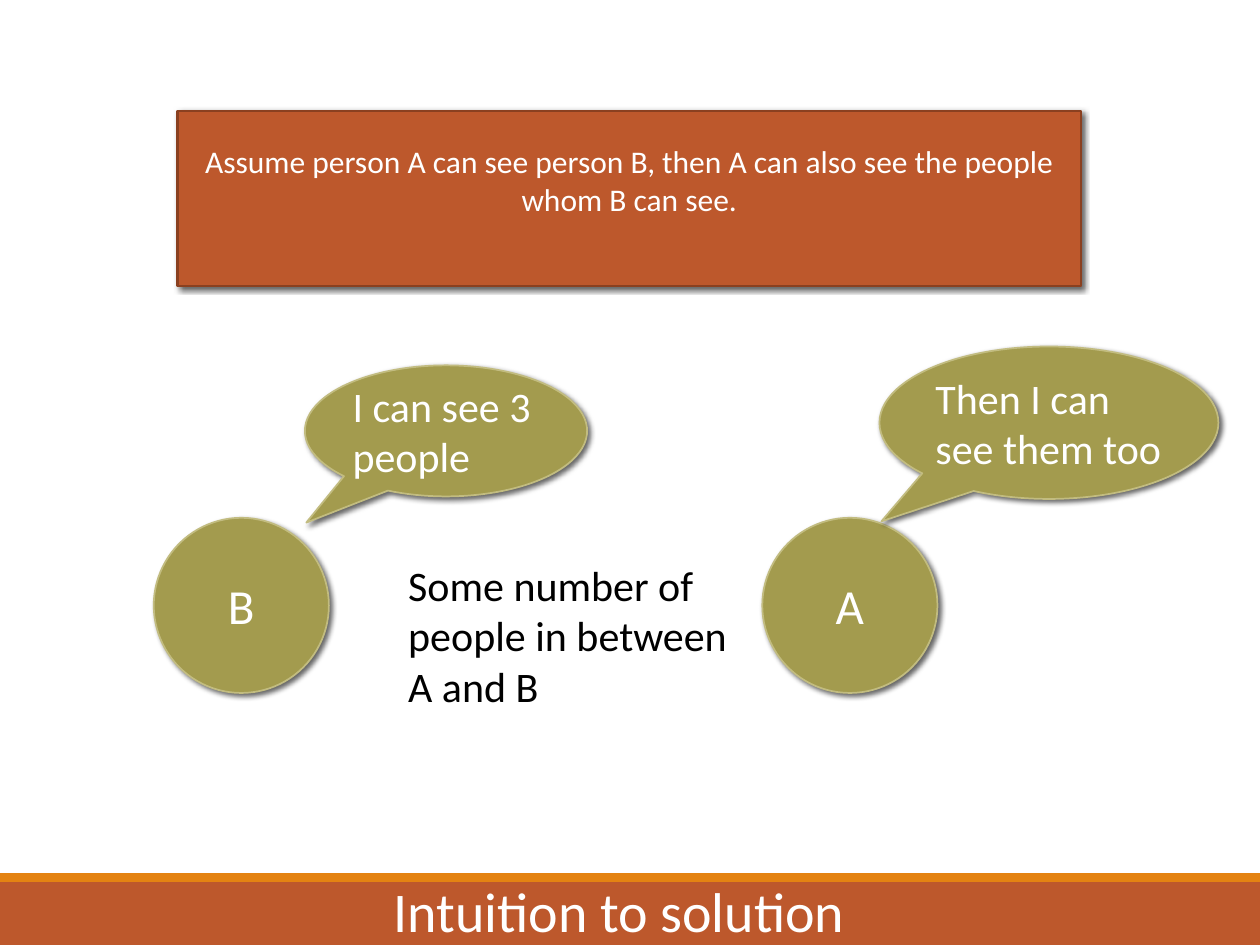
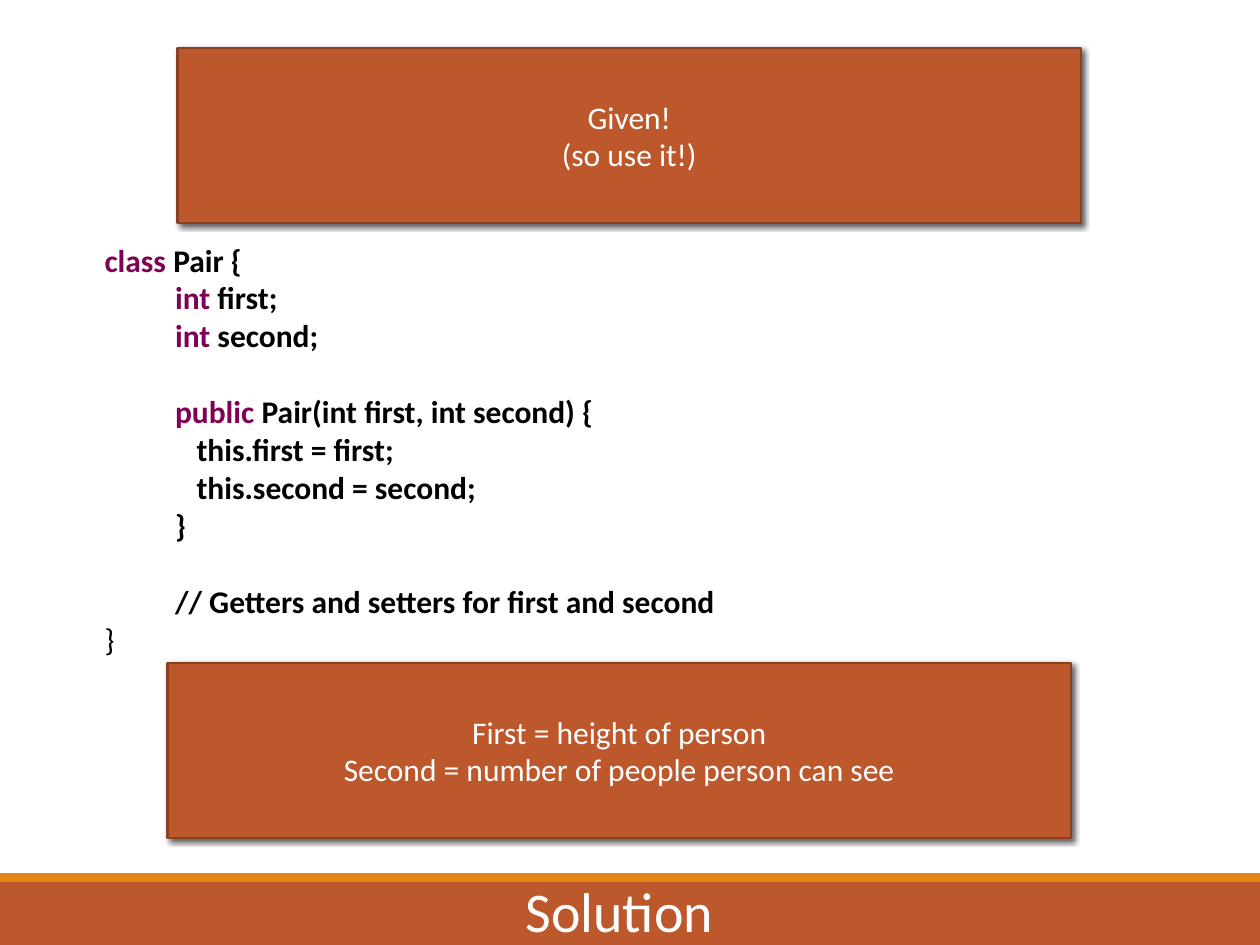
from lxml import etree
from pptx import Presentation, util as u
from pptx.dml.color import RGBColor
from pptx.enum import shapes, text
from pptx.oxml.ns import qn

FONT = "Calibri"
RUST, ORANGE, RUST_EDGE = "BD582C", "E48312", "8A4020"
OLIVE, OLIVE_EDGE = "A39B4E", "C2BC80"
WHITE, BLACK, KEYWORD = "FFFFFF", "000000", "7F0055"
LEFT, CENTER = text.PP_ALIGN.LEFT, text.PP_ALIGN.CENTER
TOP, MIDDLE, BOTTOM = text.MSO_ANCHOR.TOP, text.MSO_ANCHOR.MIDDLE, text.MSO_ANCHOR.BOTTOM
KIND = shapes.MSO_SHAPE


def add_filled(slide, kind, box, fill, edge=None, edge_width=1):
    """Add a filled shape; an edge colour also brings the soft drop shadow."""
    shape = slide.shapes.add_shape(kind, *map(u.Inches, box))
    shape.fill.solid()
    shape.fill.fore_color.rgb = RGBColor.from_string(fill)
    shape.shadow.inherit = False
    if edge is None:
        shape.line.fill.background()
        return shape
    shape.line.color.rgb = RGBColor.from_string(edge)
    shape.line.width = u.Pt(edge_width)
    effects = shape.element.spPr.find(qn("a:effectLst"))
    shadow = etree.SubElement(effects, qn("a:outerShdw"), blurRad=str(u.Pt(3)),
                              dist=str(u.Pt(2)), dir=str(45 * 60000), rotWithShape="0")
    black = etree.SubElement(shadow, qn("a:srgbClr"), val=BLACK)
    etree.SubElement(black, qn("a:alpha"), val="60000")
    return shape


def write(shape, lines, size, color=WHITE, align=CENTER, anchor=MIDDLE):
    """Fill a shape with one paragraph per line and return the paragraphs."""
    frame = shape.text_frame
    frame.word_wrap = True
    frame.vertical_anchor = anchor
    frame.margin_left = frame.margin_right = u.Inches(0.05)
    frame.margin_top = frame.margin_bottom = u.Inches(0.05)
    frame.text = "\n".join(lines)
    for paragraph in frame.paragraphs:
        paragraph.alignment = align
        paragraph.font.name = FONT
        paragraph.font.size = u.Pt(size)
        paragraph.font.color.rgb = RGBColor.from_string(color)
    return frame.paragraphs


prs = Presentation()
prs.slide_width, prs.slide_height = u.Inches(10), u.Inches(7.5)

# Bottom bands, title and rust banners of both slides
banners = {
    "Intuition to solution": [
        (1.41, 0.88, ["Assume person A can see person B, then A can also see the people "
                      "whom B can see."]),
    ],
    "Solution": [
        (1.41, 0.38, ["Given!", "(so use it!)"]),
        (1.33, 5.26, ["First = height of person",
                      "Second = number of people person can see"]),
    ],
}
slides, banner_shapes = [], []
for title, slide_banners in banners.items():
    slide = prs.slides.add_slide(prs.slide_layouts[6])
    slides.append(slide)
    add_filled(slide, KIND.RECTANGLE, (0, 7, 10, 0.5), RUST)
    add_filled(slide, KIND.RECTANGLE, (0, 6.93, 10, 0.07), ORANGE)
    heading = slide.shapes.add_textbox(*map(u.Inches, (1.84, 6.9, 6.15, 0.64)))
    write(heading, [title], 32, anchor=BOTTOM)
    for left, top, lines in slide_banners:
        banner = add_filled(slide, KIND.RECTANGLE, (left, top, 7.17, 1.39),
                            RUST, RUST_EDGE, 1.25)
        write(banner, lines, 18)
        banner_shapes.append(banner)
intuition, solution = slides
# The assumption sits a little above the middle of its banner
banner_shapes[0].text_frame.margin_bottom = u.Inches(0.35)

# Slide 1: two people and what they say
people = [
    ("B", 1.22, "I can see 3 people", (2.42, 2.9, 2.24, 1.04), (-0.495, 0.7)),
    ("A", 6.05, "Then I can see them too", (6.98, 2.75, 2.69, 1.21), (-0.494, 0.647)),
]
for name, left, speech, bubble_box, tail in people:
    person = add_filled(intuition, KIND.OVAL, (left, 4.11, 1.39, 1.39), OLIVE, OLIVE_EDGE)
    write(person, [name], 28)
    bubble = add_filled(intuition, KIND.OVAL_CALLOUT, bubble_box, OLIVE, OLIVE_EDGE)
    bubble.adjustments[0], bubble.adjustments[1] = tail
    write(bubble, [speech], 24, align=LEFT)

between = intuition.shapes.add_textbox(*map(u.Inches, (3.19, 4.39, 2.66, 1.31)))
write(between, ["Some number of", "people in between A and B"], 24, BLACK, LEFT, TOP)

# Slide 2: the class, as (indent, keyword, rest, starts a new block)
code = [
    (0, "class", " Pair {", False),
    (0.56, "int", " first;", False),
    (0.56, "int", " second;", False),
    (0.56, "public", " Pair(int first, int second) {", True),
    (0.73, "", "this.first = first;", False),
    (0.73, "", "this.second = second;", False),
    (0.56, "", "}", False),
    (0.56, "", "// Getters and setters for first and second", True),
    (0, "", "}", False),
]
listing = solution.shapes.add_textbox(*map(u.Inches, (0.78, 1.86, 8.28, 3.42)))
paragraphs = write(listing, [rest for _, _, rest, _ in code], 18, BLACK, LEFT, TOP)
for paragraph, (indent, keyword, rest, new_block) in zip(paragraphs, code):
    paragraph.font.bold = paragraph is not paragraphs[-1]
    properties = paragraph._p.get_or_add_pPr()
    properties.set("marL", str(u.Inches(indent)))
    properties.set("indent", "0")
    if new_block:
        paragraph.space_before = u.Pt(22)
    if keyword:
        paragraph.runs[0].text = keyword
        paragraph.runs[0].font.color.rgb = RGBColor.from_string(KEYWORD)
        paragraph.add_run().text = rest

prs.save("out.pptx")
